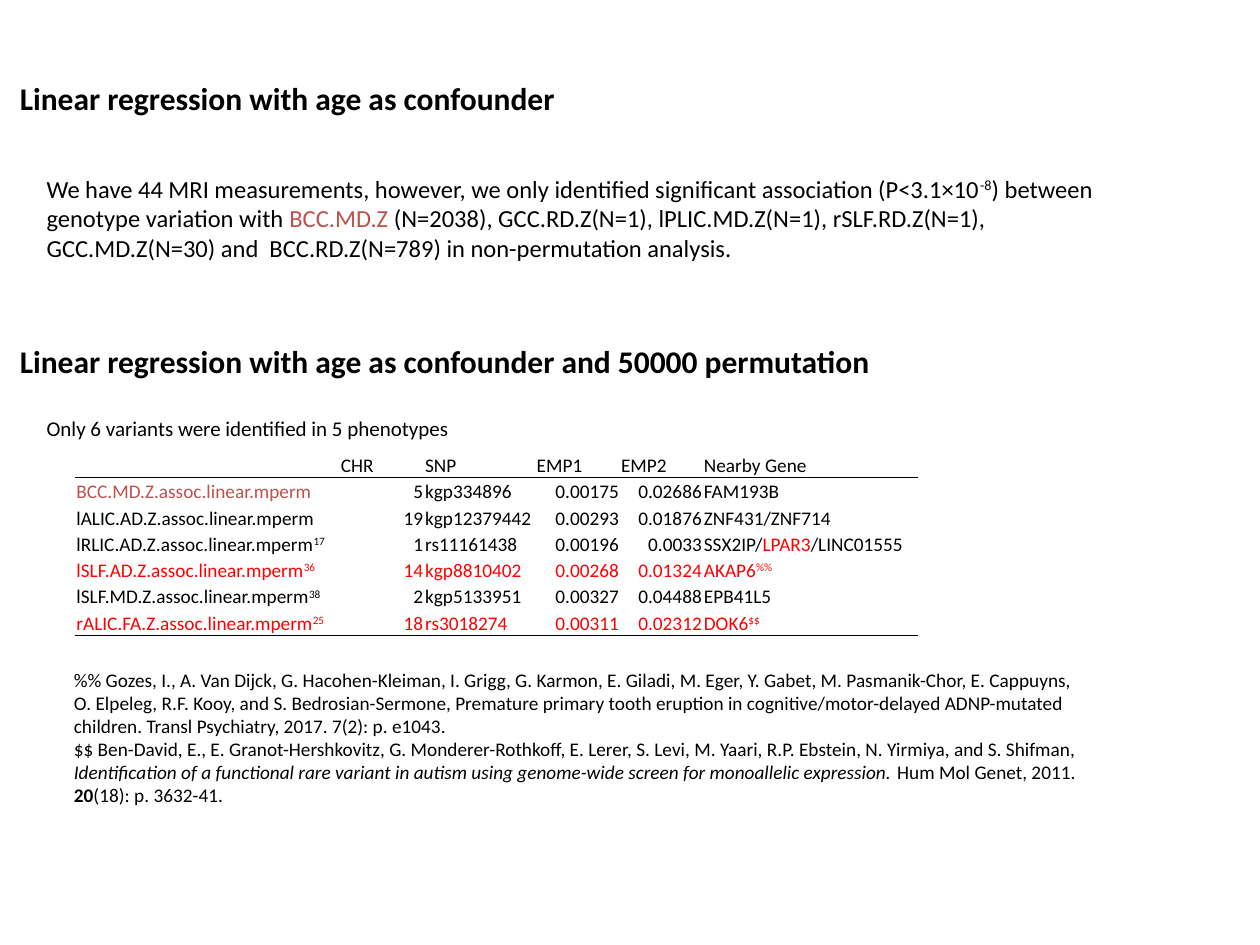
from dataclasses import dataclass

from lxml import etree
from pptx import Presentation
from pptx.dml.color import RGBColor
from pptx.enum.text import MSO_ANCHOR, MSO_AUTO_SIZE, PP_ALIGN
from pptx.oxml.ns import qn
from pptx.util import Cm, Pt

LEFT, RIGHT = PP_ALIGN.LEFT, PP_ALIGN.RIGHT
BOTTOM = MSO_ANCHOR.BOTTOM
FIT_SHAPE = MSO_AUTO_SIZE.SHAPE_TO_FIT_TEXT


@dataclass(frozen=True)
class Theme:
    font: str = "Calibri"
    text: str = "000000"
    accent: str = "C0504D"
    highlight: str = "FF0000"
    heading_size: float = 18
    body_size: float = 14
    note_size: float = 12
    small_size: float = 11
    rule_width: float = 0.5


@dataclass(frozen=True)
class Span:
    """A piece of text that differs from its paragraph."""
    text: str
    color: str = None
    bold: bool = None
    italic: bool = None
    superscript: bool = False


THEME = Theme()

INTRODUCTION = [
    "We have 44 MRI measurements, however, we only identified significant association (P<3.1×10",
    Span("-8", superscript=True),
    ") between genotype variation with ",
    Span("BCC.MD.Z", color=THEME.accent),
    " (N=2038), GCC.RD.Z(N=1), lPLIC.MD.Z(N=1), rSLF.RD.Z(N=1), GCC.MD.Z(N=30) and  "
    "BCC.RD.Z(N=789) in non-permutation analysis.",
]

REFERENCES = [
    ["%% Gozes, I., A. Van Dijck, G. Hacohen-Kleiman, I. Grigg, G. Karmon, E. Giladi, M. Eger, "
     "Y. Gabet, M. Pasmanik-Chor, E. Cappuyns, O. Elpeleg, R.F. Kooy, and S. Bedrosian-Sermone, "
     "Premature primary tooth eruption in cognitive/motor-delayed ADNP-mutated children. "
     "Transl Psychiatry, 2017. 7(2): p. e1043."],
    ["$$ Ben-David, E., E. Granot-Hershkovitz, G. Monderer-Rothkoff, E. Lerer, S. Levi, M. Yaari, "
     "R.P. Ebstein, N. Yirmiya, and S. Shifman, ",
     Span("Identification of a functional rare variant in autism using genome-wide screen "
          "for monoallelic expression.", italic=True),
     " Hum Mol Genet, 2011. ",
     Span("20", bold=True),
     "(18): p. 3632-41."],
]

HEADER = ["", "CHR", "SNP", "EMP1", "EMP2", "Nearby Gene"]
COLUMN_WIDTHS = [5.33, 1.7, 2.25, 1.7, 1.67, 4.32]
NUMERIC_COLUMNS = {1, 3, 4}

# phenotype, its superscript and colour, four measures, nearby gene
VARIANTS = [
    ("BCC.MD.Z", "", THEME.accent, "5", "kgp334896", "0.00175", "0.02686", ["FAM193B"]),
    ("lALIC.AD.Z", "", None, "19", "kgp12379442", "0.00293", "0.01876", ["ZNF431/ZNF714"]),
    ("lRLIC.AD.Z", "17", None, "1", "rs11161438", "0.00196", "0.0033",
     ["SSX2IP/", Span("LPAR3", color=THEME.highlight), "/LINC01555"]),
    ("lSLF.AD.Z", "36", THEME.highlight, "14", "kgp8810402", "0.00268", "0.01324",
     ["AKAP6", Span("%%", superscript=True)]),
    ("lSLF.MD.Z", "38", None, "2", "kgp5133951", "0.00327", "0.04488", ["EPB41L5"]),
    ("rALIC.FA.Z", "25", THEME.highlight, "18", "rs3018274", "0.00311", "0.02312",
     ["DOK6", Span("$$", superscript=True)]),
]


class SlideBuilder:
    def __init__(self, slide, theme):
        self.slide = slide
        self.theme = theme

    def fill_paragraph(self, paragraph, spans, size, color=None, bold=False, align=LEFT):
        paragraph.alignment = align
        font = paragraph.font
        font.name, font.size, font.bold = self.theme.font, Pt(size), bold
        font.color.rgb = RGBColor.from_string(color or self.theme.text)
        for span in spans:
            if isinstance(span, str):
                span = Span(span)
            run = paragraph.add_run()
            run.text = span.text
            if span.color:
                run.font.color.rgb = RGBColor.from_string(span.color)
            if span.bold:
                run.font.bold = True
            if span.italic:
                run.font.italic = True
            if span.superscript:
                run.font._element.set("baseline", "30000")

    def text(self, left, top, width, height, paragraphs, size, bold=False, wrap=True):
        box = self.slide.shapes.add_textbox(Cm(left), Cm(top), Cm(width), Cm(height))
        frame = box.text_frame
        frame.word_wrap = wrap
        frame.auto_size = FIT_SHAPE
        for index, spans in enumerate(paragraphs):
            paragraph = frame.add_paragraph() if index else frame.paragraphs[0]
            self.fill_paragraph(paragraph, spans, size, bold=bold)

    def heading(self, top, width, title):
        self.text(0.15, top, width, 1.02, [[title]], self.theme.heading_size, bold=True, wrap=False)

    def rule(self, cell, side):
        """Draw a thin line on a cell side: lnT or lnB."""
        line = etree.Element(qn(f"a:{side}"), w=str(Pt(self.theme.rule_width)))
        fill = etree.SubElement(line, qn("a:solidFill"))
        etree.SubElement(fill, qn("a:srgbClr"), val=self.theme.text)
        cell._tc.get_or_add_tcPr().insert(0, line)

    def cell(self, cell, spans, color, align):
        cell.margin_left = cell.margin_right = cell.margin_top = Cm(0.02)
        cell.margin_bottom = 0
        cell.vertical_anchor = BOTTOM
        cell.fill.background()
        paragraph = cell.text_frame.paragraphs[0]
        self.fill_paragraph(paragraph, spans, self.theme.small_size, color, align=align)

    def variant_table(self, left, top, header_height, row_height):
        height = header_height + row_height * len(VARIANTS)
        frame = self.slide.shapes.add_table(
            len(VARIANTS) + 1, len(HEADER), Cm(left), Cm(top), Cm(sum(COLUMN_WIDTHS)), Cm(height))
        table = frame.table
        table.first_row = table.horz_banding = False
        for column, width in zip(table.columns, COLUMN_WIDTHS):
            column.width = Cm(width)
        for index, row in enumerate(table.rows):
            row.height = Cm(row_height if index else header_height)

        for column, title in enumerate(HEADER):
            self.cell(table.cell(0, column), [title] if title else [], None, LEFT)
        for row, (phenotype, mark, color, *measures, gene) in enumerate(VARIANTS, start=1):
            name = [f"{phenotype}.assoc.linear.mperm"]
            if mark:
                name.append(Span(mark, superscript=True))
            row_color = color if color == self.theme.highlight else None
            for column, spans in enumerate([name, *([value] for value in measures), gene]):
                self.cell(table.cell(row, column), spans, row_color if column else color,
                          RIGHT if column in NUMERIC_COLUMNS else LEFT)

        for column in range(len(HEADER)):
            self.rule(table.cell(0, column), "lnB")
            self.rule(table.cell(1, column), "lnT")
            self.rule(table.cell(len(VARIANTS), column), "lnB")


def main():
    presentation = Presentation()
    presentation.slide_width, presentation.slide_height = Cm(25.4), Cm(19.05)
    blank_layout = presentation.slide_layouts[6]
    builder = SlideBuilder(presentation.slides.add_slide(blank_layout), THEME)

    builder.heading(1.47, 11.56, "Linear regression with age as confounder")
    builder.text(0.69, 3.38, 22.66, 2.06, [INTRODUCTION], THEME.body_size)
    builder.heading(6.78, 17.93, "Linear regression with age as confounder and 50000 permutation")
    builder.text(0.69, 8.26, 12.7, 0.76,
                 [["Only 6 variants were identified in 5 phenotypes"]], THEME.note_size)
    builder.variant_table(1.52, 8.89, header_height=0.74, row_height=0.53)
    builder.text(1.24, 13.34, 20.96, 3.07, REFERENCES, THEME.small_size)

    presentation.save("out.pptx")


if __name__ == "__main__":
    main()
